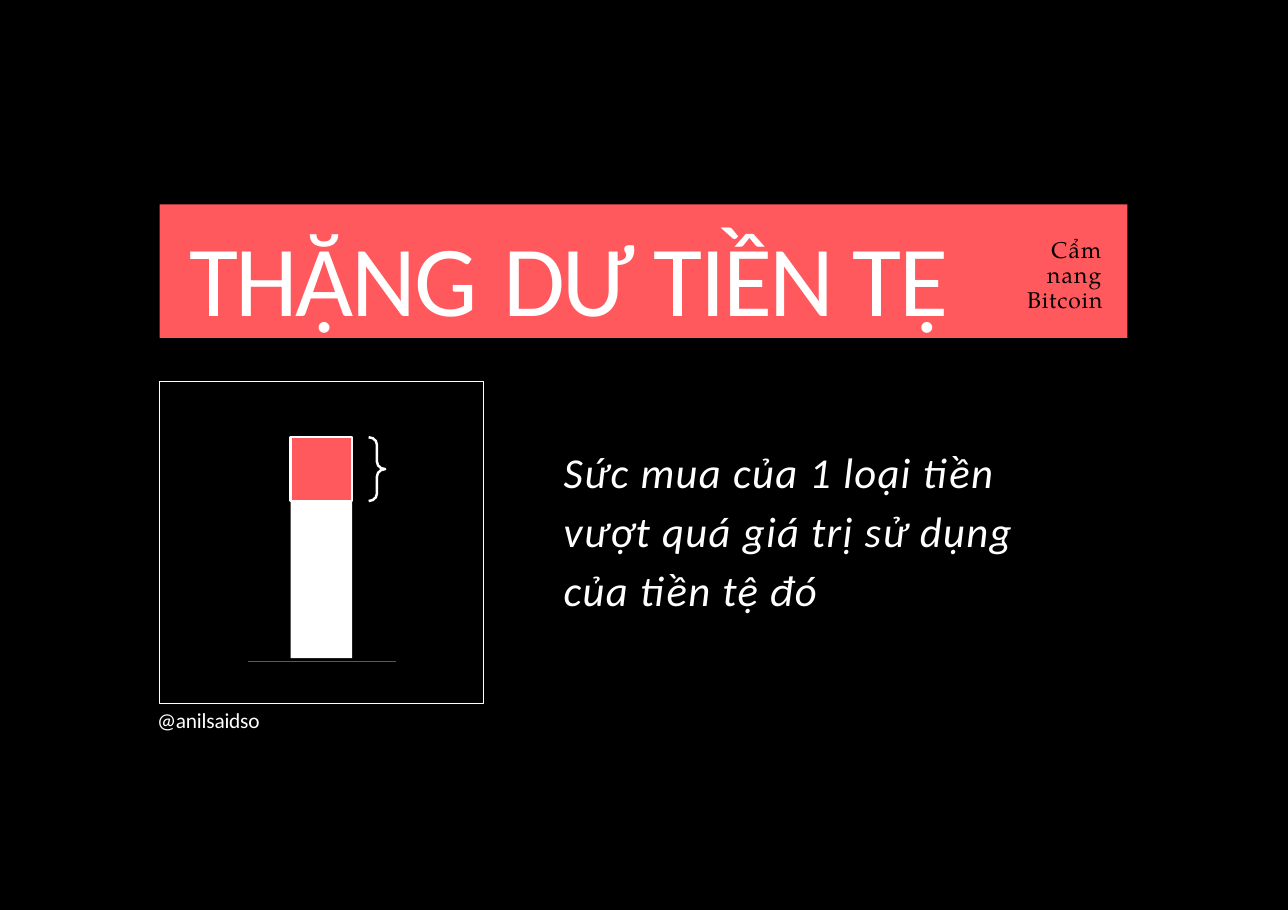
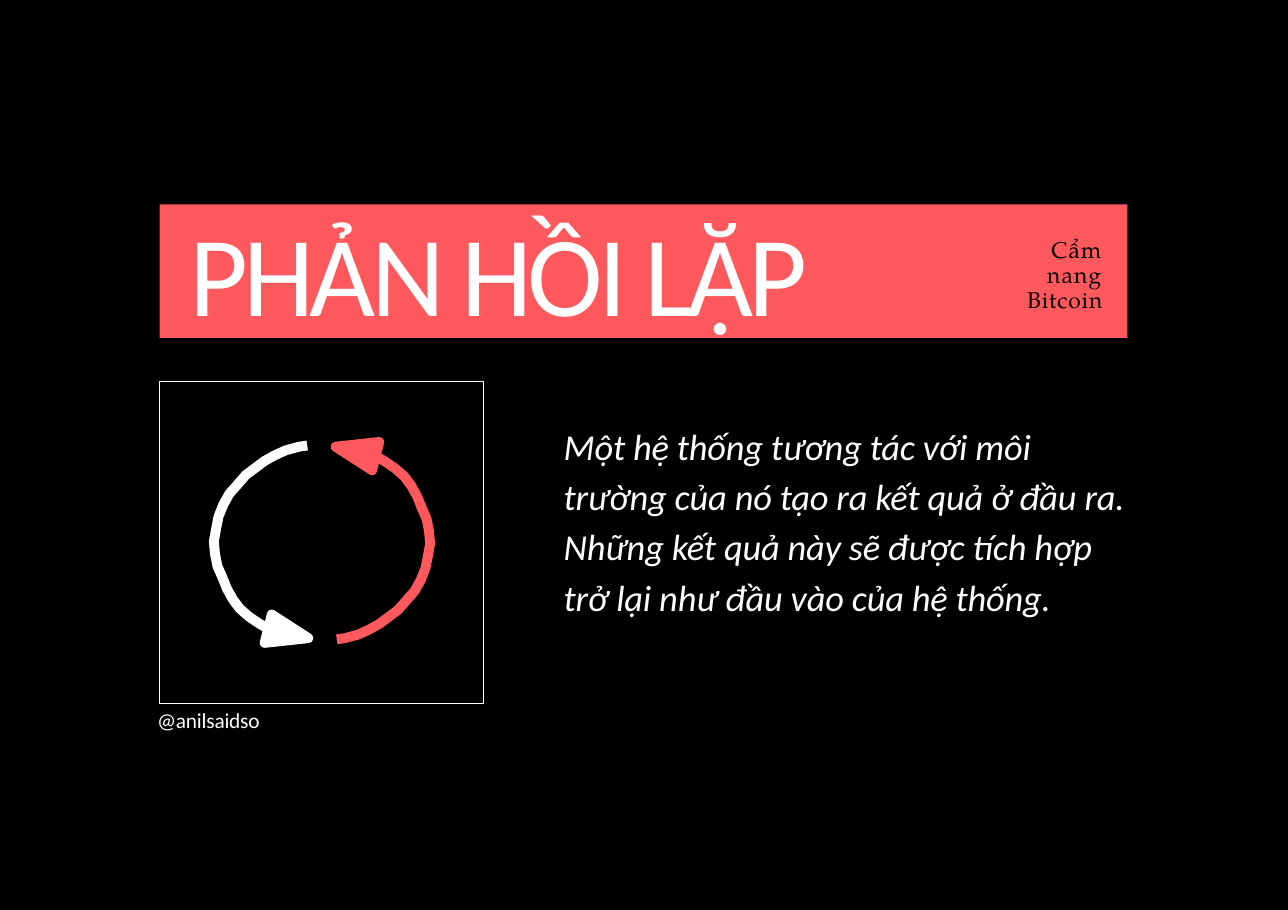
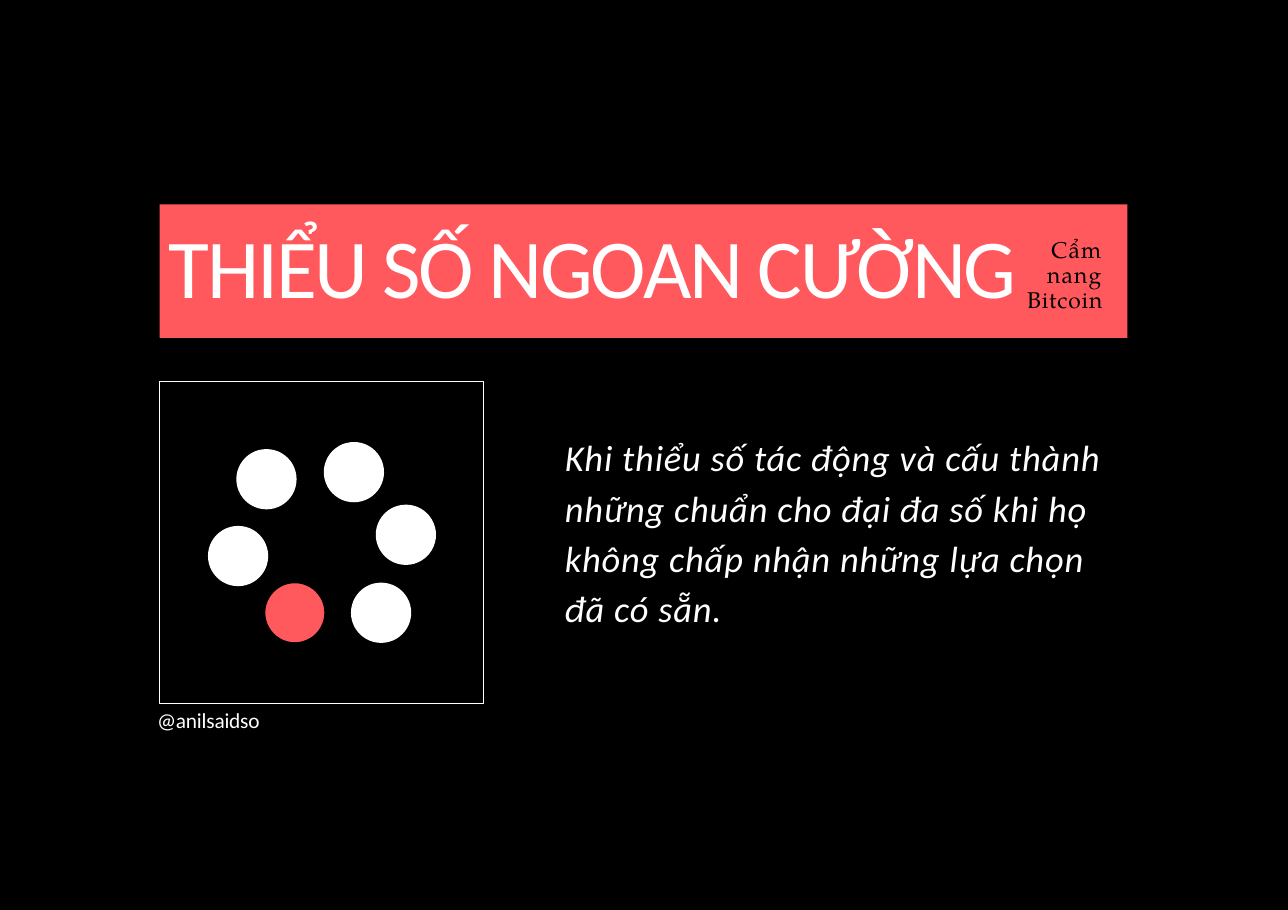
"""Build three handbook cards that share a title band, a framed drawing and a definition."""
from dataclasses import dataclass
from typing import Optional

from lxml.etree import SubElement
from pptx import Presentation
from pptx.dml.color import RGBColor
from pptx.enum.shapes import MSO_CONNECTOR, MSO_SHAPE
from pptx.enum.text import PP_ALIGN
from pptx.oxml.ns import qn
from pptx.util import Inches, Pt

COLOURS = {"black": "000000", "white": "FFFFFF", "coral": "FF595E", "grey": "595959"}
SANS = "Calibri"
SERIF = "TeX Gyre Pagella"
LABEL_INDENT = 0.62
CYCLE_CENTRE = (2.725, 4.59)
ARC = [
    (2.6, 3.77), (2.53, 3.78), (2.42, 3.81), (2.33, 3.85), (2.24, 3.9), (2.16, 3.96),
    (2.08, 4.02), (2.01, 4.1), (1.94, 4.18), (1.89, 4.27), (1.85, 4.37), (1.83, 4.47),
    (1.81, 4.58), (1.82, 4.69), (1.84, 4.79), (1.88, 4.88), (1.92, 4.98), (1.97, 5.07),
    (2.03, 5.15), (2.11, 5.22), (2.2, 5.28), (2.27, 5.32),
]
ARROWHEAD = [(2.24, 5.44), (2.3, 5.2), (2.61, 5.4)]
DOT_SIZE = 0.51
WHITE_DOTS = [(2.74, 3.74), (3.18, 4.27), (2, 3.8), (2.97, 4.93), (1.76, 4.45)]
CORAL_DOT = (2.24, 4.93)


@dataclass(frozen=True)
class Box:
    """Hold a place on the slide in inches."""
    left: float
    top: float
    width: float
    height: float

    def lengths(self) -> tuple:
        """Return the four lengths for python-pptx."""
        return tuple(Inches(n) for n in (self.left, self.top, self.width, self.height))


@dataclass(frozen=True)
class Run:
    """Hold a piece of text with its size and letter spacing in points."""
    text: str
    size: float
    spacing: float


@dataclass(frozen=True)
class TextBlock:
    """Hold one paragraph with its place and format."""
    box: Box
    runs: tuple
    inset: float = 0.02
    font: str = SANS
    colour: str = "white"
    italic: bool = False
    alignment: PP_ALIGN = PP_ALIGN.LEFT
    line_spacing: object = None
    indent: float = 0


TITLE_BOX = Box(1.6, 1.69, 6.53, 1.18)
CREDIT = TextBlock(Box(1.33, 5.96, 0.95, 0.23), (Run("@anilsaidso", 13, -0.1),))
LABEL = TextBlock(
    Box(8.24, 1.93, 1.09, 0.67),
    (Run("Cẩm nang ", 13.9, 0.7), Run("Bitcoin", 13.9, 0.5)),
    inset=0.08, font=SERIF, colour="black", alignment=PP_ALIGN.RIGHT,
    line_spacing=Pt(15.3), indent=LABEL_INDENT,
)


def rgb(name: str) -> RGBColor:
    """Look up a named colour."""
    return RGBColor.from_string(COLOURS[name])


def style(shape, fill: Optional[str], line: Optional[str] = None, weight: float = 0.75) -> None:
    """Give a shape its fill and outline."""
    shape.shadow.inherit = False
    if fill:
        shape.fill.solid()
        shape.fill.fore_color.rgb = rgb(fill)
    else:
        shape.fill.background()
    if line:
        shape.line.color.rgb = rgb(line)
        shape.line.width = Pt(weight)
    else:
        shape.line.fill.background()


def add_preset(slide, kind: MSO_SHAPE, box: Box, fill: Optional[str],
               line: Optional[str] = None, weight: float = 0.75):
    """Add a preset shape."""
    shape = slide.shapes.add_shape(kind, *box.lengths())
    style(shape, fill, line, weight)
    return shape


def add_outline(slide, points: list, colour: str, closed: bool) -> None:
    """Add a thick freeform with round joins, filled when closed."""
    corners = [(Inches(x), Inches(y)) for x, y in points]
    builder = slide.shapes.build_freeform(*corners[0])
    builder.add_line_segments(corners[1:], close=closed)
    shape = builder.convert_to_shape()
    style(shape, colour if closed else None, colour, 6)
    SubElement(shape.line._get_or_add_ln(), qn("a:round"))


def add_text(slide, block: TextBlock) -> None:
    """Add a text box with one paragraph."""
    frame = slide.shapes.add_textbox(*block.box.lengths()).text_frame
    frame_format = {
        "word_wrap": True, "margin_left": 0, "margin_right": 0,
        "margin_top": Inches(block.inset), "margin_bottom": 0,
    }
    for name, value in frame_format.items():
        setattr(frame, name, value)
    paragraph = frame.paragraphs[0]
    paragraph.alignment = block.alignment
    paragraph.line_spacing = block.line_spacing
    if block.indent:
        paragraph._p.get_or_add_pPr().set("indent", str(Inches(block.indent)))
    for piece in block.runs:
        run = paragraph.add_run()
        run.text = piece.text
        font_format = {"name": block.font, "size": Pt(piece.size), "italic": block.italic}
        for name, value in font_format.items():
            setattr(run.font, name, value)
        run.font.color.rgb = rgb(block.colour)
        run._r.get_or_add_rPr().set("spc", str(round(piece.spacing * 100)))


def definition(box: Box, run: Run, inset: float) -> TextBlock:
    """Describe the italic definition beside the drawing."""
    return TextBlock(box, (run,), inset=inset, italic=True, line_spacing=1.15)


def draw_premium(slide) -> None:
    """Draw a bar whose top part is marked by a brace."""
    left, width, top, middle, bottom = 2.46, 0.52, 3.7, 4.24, 5.57
    brace = add_preset(slide, MSO_SHAPE.RIGHT_BRACE, Box(3.12, top, 0.14, middle - top),
                       None, "white", 1.5)
    brace.adjustments[0] = 0.45
    add_preset(slide, MSO_SHAPE.RECTANGLE, Box(left, middle, width, bottom - middle), "white")
    add_preset(slide, MSO_SHAPE.RECTANGLE, Box(left, top, width, middle - top),
               "coral", "white", 1.5)
    ground = slide.shapes.add_connector(
        MSO_CONNECTOR.STRAIGHT, Inches(2.1), Inches(5.6), Inches(3.35), Inches(5.6))
    ground.line.color.rgb = rgb("grey")
    ground.line.width = Pt(0.75)
    SubElement(ground._element.spPr, qn("a:effectLst"))


def draw_cycle(slide) -> None:
    """Draw two curved arrows, the second one turned by half a circle."""
    for colour, turned in (("white", False), ("coral", True)):
        for points, closed in ((ARC, False), (ARROWHEAD, True)):
            if turned:
                points = [(2 * CYCLE_CENTRE[0] - x, 2 * CYCLE_CENTRE[1] - y) for x, y in points]
            add_outline(slide, points, colour, closed)


def draw_minority(slide) -> None:
    """Draw a ring of dots with one in another colour."""
    for left, top in WHITE_DOTS:
        add_preset(slide, MSO_SHAPE.OVAL, Box(left, top, DOT_SIZE, DOT_SIZE), "white")
    add_preset(slide, MSO_SHAPE.OVAL, Box(*CORAL_DOT, DOT_SIZE, DOT_SIZE), "coral", "black")


def add_card(presentation, title: TextBlock, body: TextBlock, draw) -> None:
    """Add a slide with the shared parts, its texts and its drawing."""
    slide = presentation.slides.add_slide(presentation.slide_layouts[6])
    add_preset(slide, MSO_SHAPE.RECTANGLE, Box(1.35, 3.23, 2.74, 2.72), None, "white")
    add_preset(slide, MSO_SHAPE.RECTANGLE, Box(1.35, 1.73, 8.19, 1.13), "coral")
    for block in (title, body, CREDIT, LABEL):
        add_text(slide, block)
    draw(slide)


def main() -> None:
    """Build and save the presentation."""
    presentation = Presentation()
    presentation.slide_width = Inches(10.9)
    presentation.slide_height = Inches(7.7)
    background = presentation.slide_master.background.fill
    background.solid()
    background.fore_color.rgb = rgb("black")

    add_card(
        presentation,
        TextBlock(TITLE_BOX, (Run("THẶNG", 61.2, -1.4), Run(" ", 69.5, -13.3),
                              Run("DƯ TIỀN TỆ", 61.2, -1.4))),
        definition(Box(4.77, 3.69, 3.9, 1.49),
                   Run("Sức mua của 1 loại tiền vượt quá giá trị sử dụng của tiền tệ đó",
                       26, 0.8), 0.02),
        draw_premium,
    )
    add_card(
        presentation,
        TextBlock(TITLE_BOX, (Run("PHẢN HỒI LẶP", 69.5, -2.8),)),
        definition(Box(4.77, 3.45, 4.77, 1.77),
                   Run("Một hệ thống tương tác với môi trường của nó tạo ra kết quả ở đầu ra. "
                       "Những kết quả này sẽ được tích hợp trở lại như đầu vào của hệ thống.",
                       22.2, -0.1), 0.08),
        draw_cycle,
    )
    add_card(
        presentation,
        TextBlock(Box(1.43, 1.73, 7.5, 0.94), (Run("THIỂU SỐ NGOAN CƯỜNG", 51, -1.4),),
                  inset=0.09),
        definition(Box(4.78, 3.45, 4.76, 1.87),
                   Run("Khi thiểu số tác động và cấu thành những chuẩn cho đại đa số khi họ "
                       "không chấp nhận những lựa chọn đã có sẵn.", 22.2, 0.5), 0.18),
        draw_minority,
    )
    presentation.save("out.pptx")


if __name__ == "__main__":
    main()
